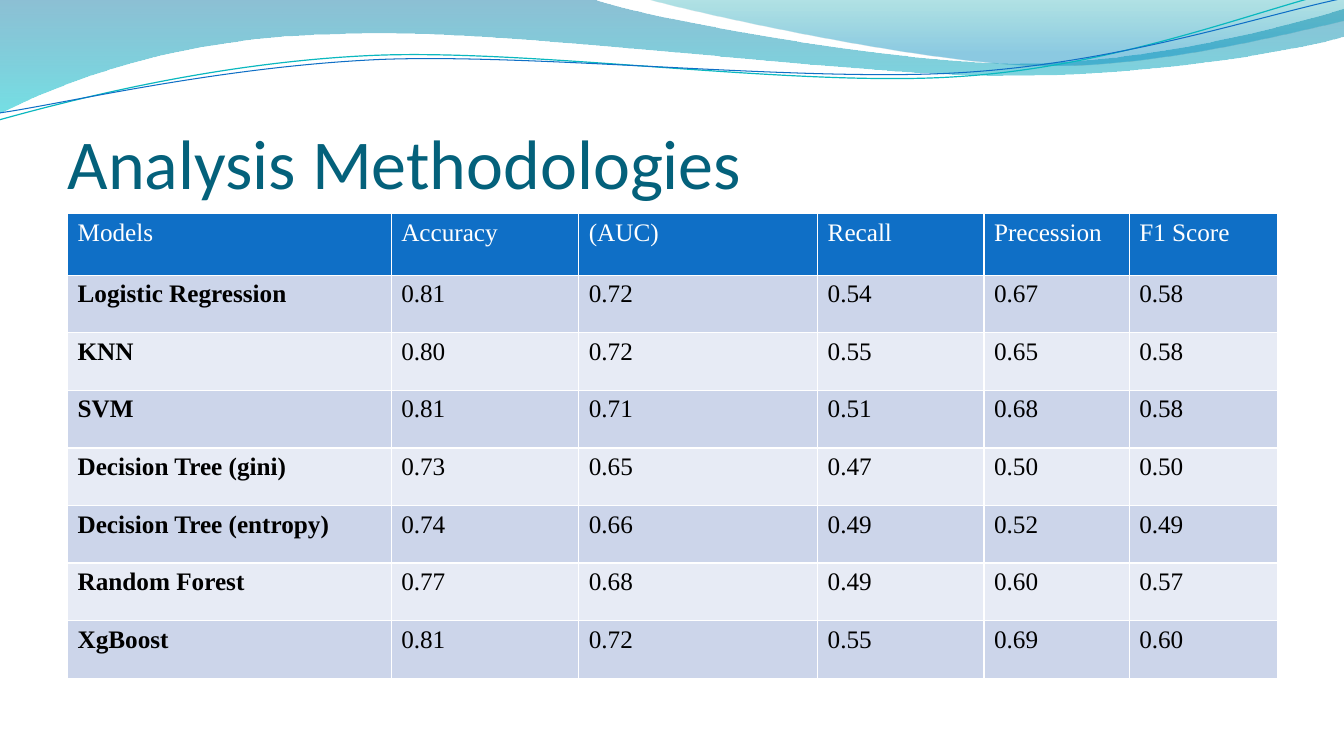
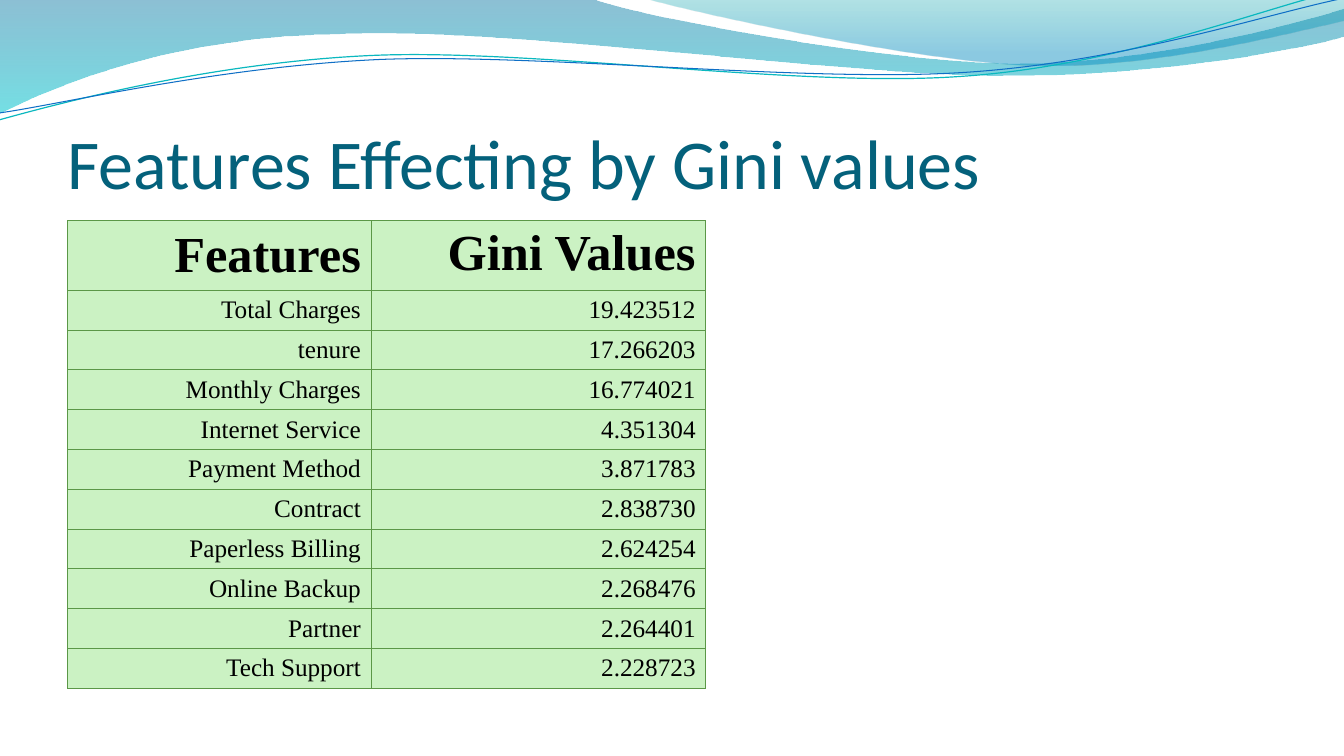
import pptx
import pptx.util
import pptx.dml.color
import pptx.enum.text
import pptx.oxml.ns
import lxml.etree
from dataclasses import dataclass

Inches = pptx.util.Inches
Pt = pptx.util.Pt
ALIGN = pptx.enum.text.PP_ALIGN
ANCHOR = pptx.enum.text.MSO_ANCHOR


@dataclass(frozen=True)
class Theme:
    title_font: str = "Calibri"
    table_font: str = "Times New Roman"
    title_size: int = 50
    heading_size: int = 36
    body_size: int = 18
    title: str = "04617B"
    header: str = "0F6FC6"
    stripes: tuple = ("CCD5EA", "E7EBF5")
    green: str = "CBF2C3"
    green_line: str = "5B9747"
    white: str = "FFFFFF"
    black: str = "000000"


THEME = Theme()
MARGIN = 0.67
TITLE_BOX = (MARGIN, 0.77, 12, 1.25)
UNITS_PER_INCH = 1000

LARGE_WAVE = [
    (0, 0), [(5.87, -0.01)],
    [(6.34, 0.17), (8.85, 0.63), (10.11, 0.63)],
    [(11.38, 0.63), (12.78, 0.26), (13.33, 0.09)],
    [(13.35, 0.36)],
    [(13.11, 0.44), (11.6, 0.76), (9.94, 0.75)],
    [(8.29, 0.75), (5.09, 0.28), (3.43, 0.34)],
    [(1.72, 0.36), (0.61, 0.83), (-0.01, 1.13)],
    [(0, 0)],
]
SMALL_WAVE = [
    (6.39, -0.01),
    [(6.79, 0.11), (9.09, 0.62), (10.25, 0.65)],
    [(11.41, 0.69), (12.82, 0.32), (13.33, 0.21)],
    [(13.33, 0)],
    [(6.39, -0.01)],
]
TEAL_CURVE = [
    (-0.01, 1.19),
    [(0.64, 1.01), (2.11, 0.62), (3.69, 0.55)],
    [(5.27, 0.48), (7.9, 0.87), (9.5, 0.76)],
    [(11.1, 0.66), (12.52, 0.08), (13.31, -0.1)],
]
BLUE_CURVE = [
    (0, 1.12),
    [(0.63, 1.03), (2.18, 0.66), (3.78, 0.59)],
    [(5.37, 0.53), (7.96, 0.82), (9.55, 0.72)],
    [(11.15, 0.62), (12.55, 0.14), (13.34, -0.02)],
]
WAVES = [
    (LARGE_WAVE, [(0, "0074A1", 45), (1, "00C6CF", 55)]),
    (SMALL_WAVE, [(0, "00A1A9", 30), (0.8, "008BBF", 45)]),
]
CURVES = [(TEAL_CURVE, "0AB8BF", 0.85), (BLUE_CURVE, THEME.header, 0.75)]

MODEL_TITLE = "Analysis Methodologies"
MODEL_COLUMNS = [3.21, 1.86, 2.37, 1.65, 1.44, 1.47]
MODEL_ROWS = [
    ("Models", "Accuracy", "(AUC)", "Recall", "Precession", "F1 Score"),
    ("Logistic Regression", "0.81", "0.72", "0.54", "0.67", "0.58"),
    ("KNN", "0.80", "0.72", "0.55", "0.65", "0.58"),
    ("SVM", "0.81", "0.71", "0.51", "0.68", "0.58"),
    ("Decision Tree (gini)", "0.73", "0.65", "0.47", "0.50", "0.50"),
    ("Decision Tree (entropy)", "0.74", "0.66", "0.49", "0.52", "0.49"),
    ("Random Forest", "0.77", "0.68", "0.49", "0.60", "0.57"),
    ("XgBoost", "0.81", "0.72", "0.55", "0.69", "0.60"),
]

GINI_TITLE = "Features Effecting by Gini values"
GINI_COLUMNS = [3.01, 3.32]
GINI_ROWS = [
    ("Features", "Gini Values"),
    ("Total Charges", "19.423512"),
    ("tenure", "17.266203"),
    ("Monthly Charges", "16.774021"),
    ("Internet Service", "4.351304"),
    ("Payment Method", "3.871783"),
    ("Contract", "2.838730"),
    ("Paperless Billing", "2.624254"),
    ("Online Backup", "2.268476"),
    ("Partner", "2.264401"),
    ("Tech Support", "2.228723"),
]


def rgb(color):
    return pptx.dml.color.RGBColor.from_string(color)


def add_element(parent, tag, **attributes):
    element = lxml.etree.SubElement(parent, pptx.oxml.ns.qn(tag))
    for name, value in attributes.items():
        element.set(name, str(value))
    return element


def add_run(paragraph, text, font, size, color, bold=False):
    run = paragraph.add_run()
    run.text = text
    run.font.name = font
    run.font.size = Pt(size)
    run.font.bold = bold
    run.font.color.rgb = rgb(color)


def to_units(point):
    return tuple(round(value * UNITS_PER_INCH) for value in point)


def add_outline(slide, outline, closed):
    start, segments = outline[0], outline[1:]
    anchors = [to_units(point) for point in [start] + [segment[-1] for segment in segments]]
    builder = slide.shapes.build_freeform(*anchors[0], scale=Inches(1) / UNITS_PER_INCH)
    builder.add_line_segments(anchors[1:], close=closed)
    shape = builder.convert_to_shape()
    shape.shadow.inherit = False
    left, top = (min(values) for values in zip(*anchors))
    for line, segment in zip(shape.element.xpath(".//a:lnTo"), segments):
        if len(segment) == 3:
            curve = lxml.etree.Element(pptx.oxml.ns.qn("a:cubicBezTo"))
            for x, y in map(to_units, segment):
                add_element(curve, "a:pt", x=x - left, y=y - top)
            line.getparent().replace(line, curve)
    return shape


def add_wave(slide, outline, stops):
    shape = add_outline(slide, outline, True)
    shape.line.fill.background()
    shape.fill.gradient()
    shape.fill.gradient_angle = 270
    for stop, (position, color, opacity) in zip(shape.fill.gradient_stops, stops):
        stop.position = position
        stop.color.rgb = rgb(color)
    for element, (position, color, opacity) in zip(shape.element.xpath(".//a:gs/a:srgbClr"), stops):
        add_element(element, "a:alpha", val=opacity * 1000)
    return shape


def add_curve(slide, outline, color, width):
    shape = add_outline(slide, outline, False)
    shape.fill.background()
    shape.line.color.rgb = rgb(color)
    shape.line.width = Pt(width)
    return shape


def place(shape, box):
    shape.left, shape.top, shape.width, shape.height = map(Inches, box)


def decorate_layout(layout, slide):
    shapes = [add_wave(slide, *wave) for wave in WAVES]
    shapes += [add_curve(slide, *curve) for curve in CURVES]
    for index, shape in enumerate(shapes):
        shape.element.xpath(".//p:cNvPr")[0].set("id", str(100 + index))
        layout.shapes.element.insert(2 + index, shape.element)


def format_layout_title(layout):
    title = layout.placeholders[0]
    place(title, TITLE_BOX)
    frame = title.text_frame
    frame.vertical_anchor = ANCHOR.BOTTOM
    frame.margin_left = frame.margin_right = frame.margin_bottom = 0
    frame.margin_top = Inches(0.05)


def add_titled_slide(presentation, layout, text):
    slide = presentation.slides.add_slide(layout)
    paragraph = slide.shapes.title.text_frame.paragraphs[0]
    paragraph.alignment = ALIGN.LEFT
    add_run(paragraph, text, THEME.title_font, THEME.title_size, THEME.title)
    return slide


def set_borders(cell, color, width):
    properties = cell._tc.get_or_add_tcPr()
    for index, side in enumerate("LRTB"):
        line = lxml.etree.Element(pptx.oxml.ns.qn("a:ln" + side))
        line.set("w", str(Pt(width)))
        fill = add_element(line, "a:solidFill")
        add_element(fill, "a:srgbClr", val=color)
        properties.insert(index, line)


def add_grid(slide, top, height, header_height, rows, columns, style_cell):
    box = map(Inches, (MARGIN, top, sum(columns), height))
    table = slide.shapes.add_table(len(rows), len(columns), *box).table
    for column, width in zip(table.columns, columns):
        column.width = Inches(width)
    row_height = (height - header_height) / (len(rows) - 1)
    for row_index, row in enumerate(rows):
        table.rows[row_index].height = Inches(row_height if row_index else header_height)
        for column_index, text in enumerate(row):
            style_cell(table.cell(row_index, column_index), text, row_index, column_index)


def style_model_cell(cell, text, row, column):
    header = row == 0
    cell.fill.solid()
    cell.fill.fore_color.rgb = rgb(THEME.header if header else THEME.stripes[(row - 1) % 2])
    set_borders(cell, THEME.white, 1)
    add_run(cell.text_frame.paragraphs[0], text, THEME.table_font, THEME.body_size,
            THEME.white if header else THEME.black, not header and column == 0)


def style_gini_cell(cell, text, row, column):
    header = row == 0
    cell.fill.solid()
    cell.fill.fore_color.rgb = rgb(THEME.green)
    set_borders(cell, THEME.green_line, 0.75)
    cell.vertical_anchor = ANCHOR.TOP if header and column == 1 else ANCHOR.MIDDLE
    paragraph = cell.text_frame.paragraphs[0]
    paragraph.alignment = ALIGN.RIGHT
    add_run(paragraph, text, THEME.table_font,
            THEME.heading_size if header else THEME.body_size, THEME.black, header)


presentation = pptx.Presentation()
presentation.slide_width = Inches(13.33)
presentation.slide_height = Inches(7.5)
title_layout = presentation.slide_layouts[5]
format_layout_title(title_layout)

model_slide = add_titled_slide(presentation, title_layout, MODEL_TITLE)
decorate_layout(title_layout, model_slide)
add_grid(model_slide, 2.12, 4.61, 0.61, MODEL_ROWS, MODEL_COLUMNS, style_model_cell)

gini_slide = add_titled_slide(presentation, title_layout, GINI_TITLE)
add_grid(gini_slide, 2.19, 4.64, 0.69, GINI_ROWS, GINI_COLUMNS, style_gini_cell)

presentation.save("out.pptx")
